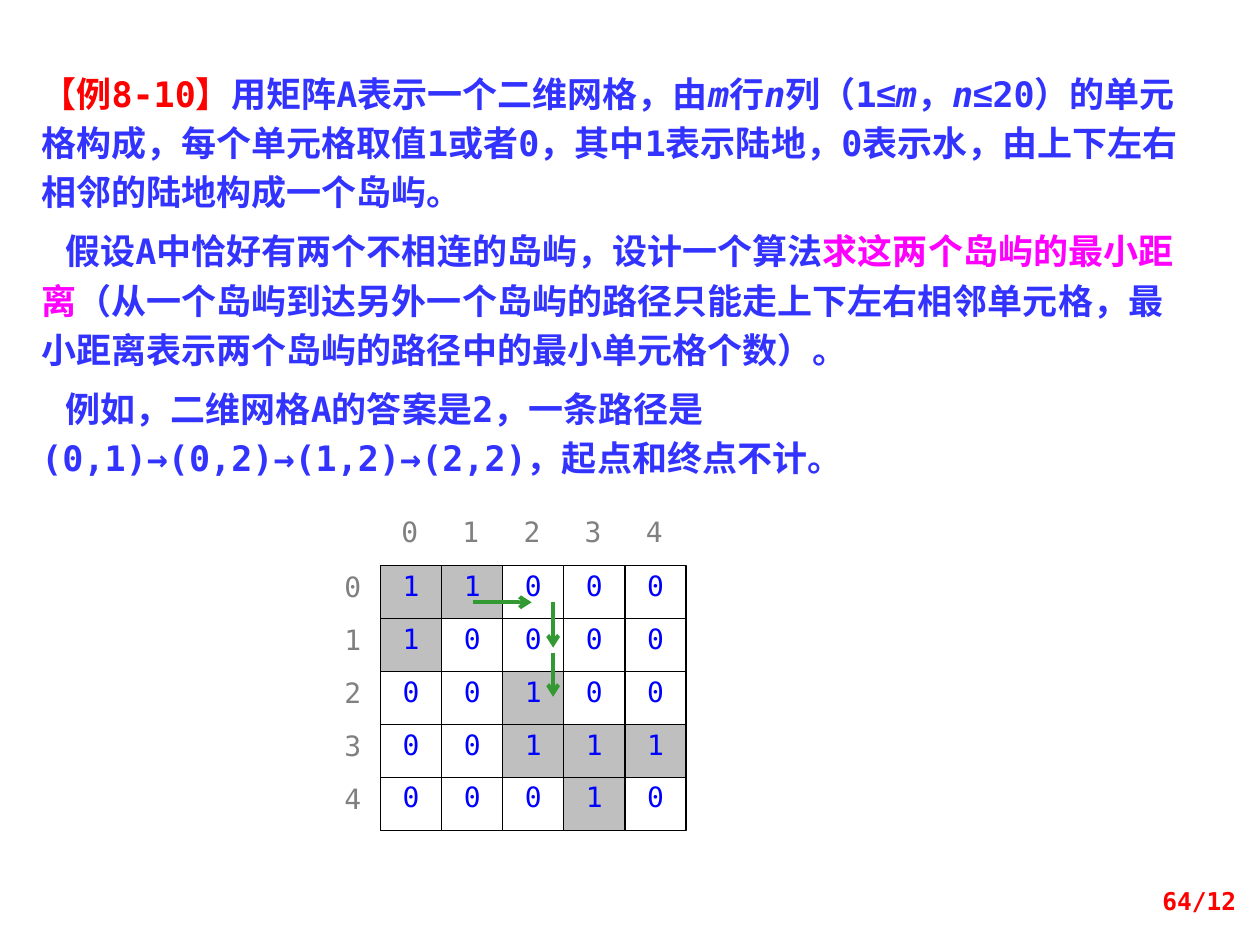
from pptx import Presentation
from pptx.dml.color import RGBColor
from pptx.enum.shapes import MSO_CONNECTOR, MSO_SHAPE
from pptx.enum.text import MSO_ANCHOR, PP_ALIGN
from pptx.oxml.ns import qn
from pptx.util import Inches, Pt
from lxml import etree

RECT = MSO_SHAPE.RECTANGLE
LINE = MSO_CONNECTOR.STRAIGHT
TOP, MIDDLE = MSO_ANCHOR.TOP, MSO_ANCHOR.MIDDLE
LEFT, CENTER, RIGHT = PP_ALIGN.LEFT, PP_ALIGN.CENTER, PP_ALIGN.RIGHT

MONO, SANS = "DejaVu Sans Mono", "Arial"
HEX = {"red": "FF0000", "blue": "3333FF", "pink": "FF00FF", "digit": "0000FF",
       "gray": "808080", "land": "BFBFBF", "water": "FFFFFF",
       "edge": "000000", "green": "339933"}

# Run styles: colour, font, italic
STYLES = {"body": ("blue", MONO, False), "tag": ("red", MONO, False),
          "goal": ("pink", MONO, False), "var": ("blue", MONO, True),
          "sign": ("blue", SANS, False)}

# Each paragraph: first-line indent, runs
PARAS = [
    (0, [("【例8-10】", "tag"), ("用矩阵A表示一个二维网格，由", "body"),
         ("m", "var"), ("行", "body"), ("n", "var"), ("列（1", "body"),
         ("≤", "sign"), ("m", "var"), ("，", "body"), ("n", "var"),
         ("≤", "sign"),
         ("20）的单元格构成，每个单元格取值1或者0，其中1表示陆地，0表示水，"
          "由上下左右相邻的陆地构成一个岛屿。", "body")]),
    (0.19, [("假设A中恰好有两个不相连的岛屿，设计一个算法", "body"),
            ("求这两个岛屿的最小距离", "goal"),
            ("（从一个岛屿到达另外一个岛屿的路径只能走上下左右相邻单元格，"
             "最小距离表示两个岛屿的路径中的最小单元格个数）。", "body")]),
    (0.19, [("例如，二维网格A的答案是2，一条路径是"
             "(0,1)→(0,2)→(1,2)→(2,2)，起点和终点不计。", "body")]),
]
GRID = ["11000", "10000", "00100", "00111", "00010"]
ARROWS = [(3.75, 4.78, 4.22, 4.78), (4.39, 4.78, 4.39, 5.14),
          (4.39, 5.18, 4.39, 5.53)]
PAGE = "64/12"

GRID_X, GRID_Y = 3.02, 4.49
STEP_X, STEP_Y = 0.485, 0.42
HEAD_Y, HEAD_H = 4.06, 0.28
SIDE_X, SIDE_W = 2.66, 0.28


def tint(fmt, name):
    fmt.solid()
    fmt.fore_color.rgb = RGBColor.from_string(HEX[name])


def add_run(para, text, size, color, font=MONO, bold=False, italic=False):
    run = para.add_run()
    run.text = text
    run.font.size, run.font.name = Pt(size), font
    run.font.bold, run.font.italic = bold, italic
    run.font.color.rgb = RGBColor.from_string(HEX[color])


def add_box(slide, x, y, w, h, anchor=TOP):
    box = slide.shapes.add_textbox(*map(Inches, (x, y, w, h)))
    box.text_frame.word_wrap = True
    box.text_frame.vertical_anchor = anchor
    return box


def add_digit(shape, text, color):
    """Centre one character near the top of a shape."""
    frame = shape.text_frame
    frame.vertical_anchor = TOP
    frame.margin_left = frame.margin_right = frame.margin_bottom = 0
    frame.margin_top = Inches(0.02)
    para = frame.paragraphs[0]
    para.alignment = CENTER
    add_run(para, text, 16, color)


def add_cell(slide, row, col, value):
    cell = slide.shapes.add_shape(
        RECT, Inches(GRID_X + col * STEP_X), Inches(GRID_Y + row * STEP_Y),
        Inches(STEP_X), Inches(STEP_Y))
    cell.shadow.inherit = False
    tint(cell.fill, "land" if value == "1" else "water")
    tint(cell.line.fill, "edge")
    cell.line.width = Pt(0.75)
    add_digit(cell, value, "digit")


def add_arrow(slide, *ends):
    arrow = slide.shapes.add_connector(LINE, *map(Inches, ends))
    tint(arrow.line.fill, "green")
    arrow.line.width = Pt(2.25)
    tip = etree.SubElement(arrow.line._get_or_add_ln(), qn("a:tailEnd"))
    tip.set("type", "arrow")
    etree.SubElement(arrow._element.spPr, qn("a:effectLst"))


def add_story(slide):
    frame = add_box(slide, 0.23, 0.47, 9.38, 3.41).text_frame
    for i, (indent, runs) in enumerate(PARAS):
        para = frame.add_paragraph() if i else frame.paragraphs[0]
        para.alignment = LEFT
        para.line_spacing = Pt(28)
        para.space_before = Pt(6 if i else 0)
        para._p.get_or_add_pPr().set("indent", str(Inches(indent)))
        for text, style in runs:
            color, font, italic = STYLES[style]
            add_run(para, text, 20, color, font, True, italic)


def add_grid(slide):
    for row, line in enumerate(GRID):
        for col, value in enumerate(line):
            add_cell(slide, row, col, value)
    for i in range(len(GRID)):
        head = add_box(slide, GRID_X - 0.01 + i * STEP_X, HEAD_Y, STEP_X, HEAD_H)
        side = add_box(slide, SIDE_X, GRID_Y + 0.01 + i * STEP_Y, SIDE_W, STEP_Y)
        for label in (head, side):
            add_digit(label, str(i), "gray")
    for ends in ARROWS:
        add_arrow(slide, *ends)


def main():
    deck = Presentation()
    deck.slide_width, deck.slide_height = Inches(10), Inches(7.5)
    slide = deck.slides.add_slide(deck.slide_layouts[6])
    add_story(slide)
    add_grid(slide)
    para = add_box(slide, 7.58, 6.95, 2.33, 0.4, MIDDLE).text_frame.paragraphs[0]
    para.alignment = RIGHT
    add_run(para, PAGE, 14, "red", bold=True)
    deck.save("out.pptx")


if __name__ == "__main__":
    main()
